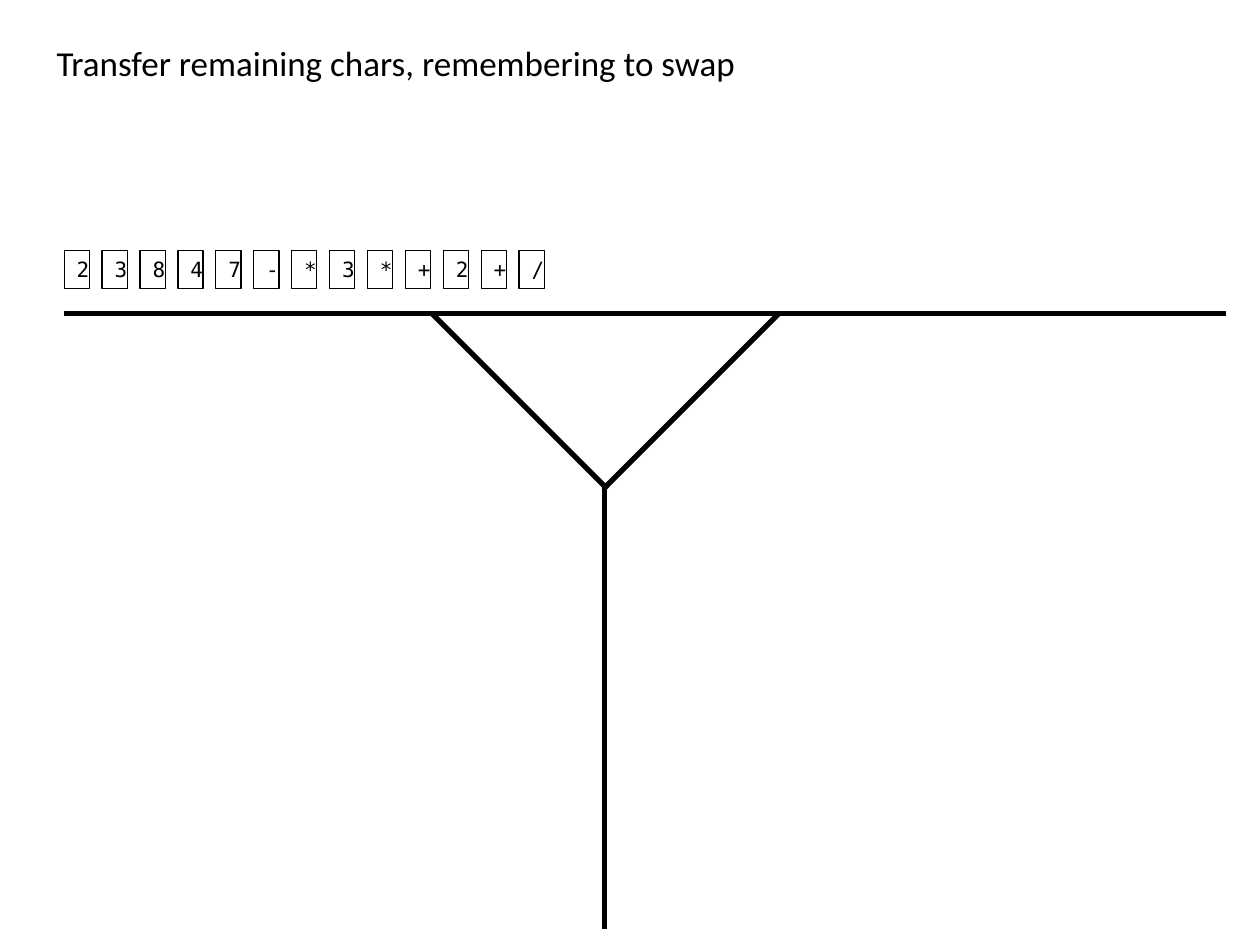
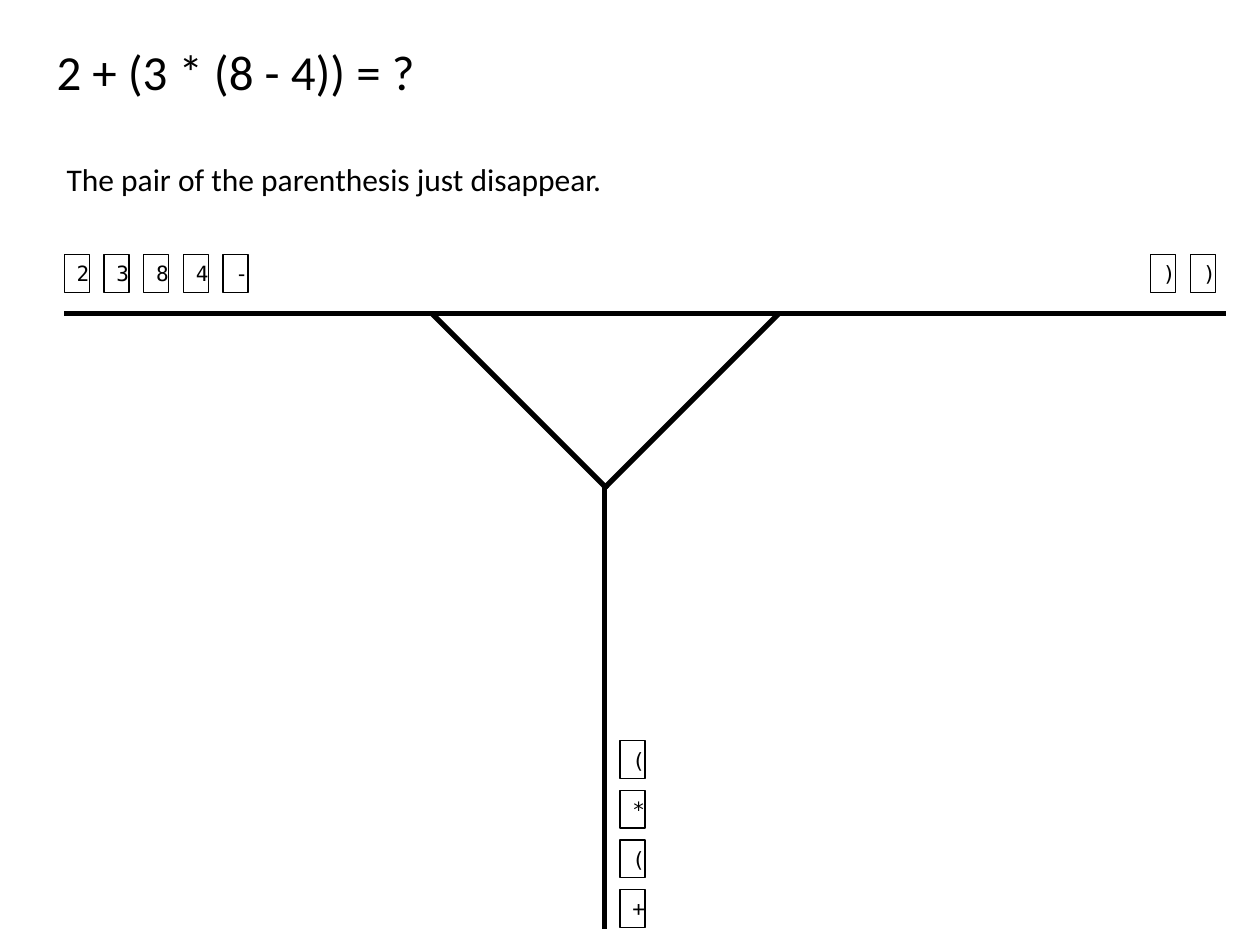
import dataclasses

import pptx
import pptx.dml.color
import pptx.enum.shapes
import pptx.enum.text
import pptx.oxml.ns
import pptx.util
from lxml import etree

# Grid of 100 columns by 75 rows on a 10 x 7.5 inch slide.
UNIT = pptx.util.Inches(0.1)
COLUMNS, ROWS = 100, 75


@dataclasses.dataclass(frozen=True)
class Theme:
    ink: pptx.dml.color.RGBColor = pptx.dml.color.RGBColor(0, 0, 0)
    paper: pptx.dml.color.RGBColor = pptx.dml.color.RGBColor(255, 255, 255)
    body_font: str = "Calibri"
    token_font: str = "DejaVu Sans Mono"
    heading_size: int = 20
    expression_size: int = 28
    note_size: int = 18
    token_size: int = 12
    token_line: float = 0.75
    track_line: float = 3


THEME = Theme()
LEFT = pptx.enum.text.PP_ALIGN.LEFT
CENTER = pptx.enum.text.PP_ALIGN.CENTER

TOKEN_WIDTH, TOKEN_HEIGHT = 2, 3
TRACK_LEFT, TRACK_RIGHT, TRACK_ROW = 5.1, 97.3, 24.9
STEM_COLUMN, STEM_TOP, STEM_BOTTOM = 48, 38.3, 73.7
FUNNEL_BOTTOM = 38.8
STACK_COLUMN = 49.2


def grid(*lengths):
    return [round(length * UNIT) for length in lengths]


def spread(first, last, count):
    """Return evenly spaced positions from first to last."""
    return [first + (last - first) * index / (count - 1) for index in range(count)]


def write_text(shape, text, *, size, font=THEME.body_font, align=LEFT, right_inset=1):
    frame = shape.text_frame
    frame.word_wrap = True
    frame.vertical_anchor = pptx.enum.text.MSO_ANCHOR.TOP
    frame.margin_left, frame.margin_right = grid(1, right_inset)
    frame.margin_top, frame.margin_bottom = grid(0.5, 0.5)
    paragraph = frame.paragraphs[0]
    paragraph.alignment = align
    run = paragraph.add_run()
    run.text = text
    run.font.name = font
    run.font.size = pptx.util.Pt(size)
    run.font.color.rgb = THEME.ink


def add_text(slide, text, left, top, width, height, **text_format):
    box = slide.shapes.add_textbox(*grid(left, top, width, height))
    write_text(box, text, **text_format)


def add_token(slide, symbol, left, top):
    token = slide.shapes.add_shape(
        pptx.enum.shapes.MSO_SHAPE.RECTANGLE,
        *grid(left, top, TOKEN_WIDTH, TOKEN_HEIGHT),
    )
    token.shadow.inherit = False
    token.fill.background()
    token.line.color.rgb = THEME.ink
    token.line.width = pptx.util.Pt(THEME.token_line)
    write_text(token, symbol, size=THEME.token_size, font=THEME.token_font,
               align=CENTER, right_inset=0)


def add_train(slide, symbols, first, last, top):
    """Line up tokens along the track."""
    for symbol, left in zip(symbols, spread(first, last, len(symbols))):
        add_token(slide, symbol, left, top)


def add_stack(slide, symbols, bottom, top):
    """Pile up tokens beside the stem, the first one lowest."""
    for symbol, row in zip(symbols, spread(bottom, top, len(symbols))):
        add_token(slide, symbol, STACK_COLUMN, row)


def add_rail(slide, *ends):
    rail = slide.shapes.add_connector(
        pptx.enum.shapes.MSO_CONNECTOR.STRAIGHT, *grid(*ends))
    rail.line.color.rgb = THEME.ink
    rail.line.width = pptx.util.Pt(THEME.track_line)
    etree.SubElement(rail.element.spPr, pptx.oxml.ns.qn("a:effectLst"))


def add_shunting_yard(slide):
    add_rail(slide, TRACK_RIGHT, TRACK_ROW, TRACK_LEFT, TRACK_ROW)
    add_rail(slide, 34.3, TRACK_ROW, 48.2, FUNNEL_BOTTOM)
    add_rail(slide, 61.8, TRACK_ROW, 47.9, FUNNEL_BOTTOM)
    add_rail(slide, STEM_COLUMN, STEM_TOP, STEM_COLUMN, STEM_BOTTOM)


def add_yard_slide(presentation):
    slide = presentation.slides.add_slide(presentation.slide_layouts[6])
    slide.background.fill.solid()
    slide.background.fill.fore_color.rgb = THEME.paper
    add_shunting_yard(slide)
    return slide


def add_transfer_slide(presentation):
    slide = add_yard_slide(presentation)
    add_text(slide, "Transfer remaining chars, remembering to swap",
             3.5, 2.8, 92.9, 4.4, size=THEME.heading_size)
    add_train(slide, "23847-*3*+2+/", TRACK_LEFT, 41.2, 19.9)


def add_parenthesis_slide(presentation):
    slide = add_yard_slide(presentation)
    add_text(slide, "2 + (3 * (8 - 4)) = ?",
             3.5, 2.8, 66.9, 5.7, size=THEME.expression_size)
    add_text(slide, "The pair of the parenthesis just disappear.",
             4.3, 12.2, 93.7, 4, size=THEME.note_size)
    add_train(slide, "2384-", TRACK_LEFT, 17.7, 20.2)
    add_train(slide, "))", 91.3, 94.5, 20.2)
    add_stack(slide, "+(*(", 70.6, 58.8)


def main():
    presentation = pptx.Presentation()
    presentation.slide_width, presentation.slide_height = grid(COLUMNS, ROWS)
    add_transfer_slide(presentation)
    add_parenthesis_slide(presentation)
    presentation.save("out.pptx")


if __name__ == "__main__":
    main()
